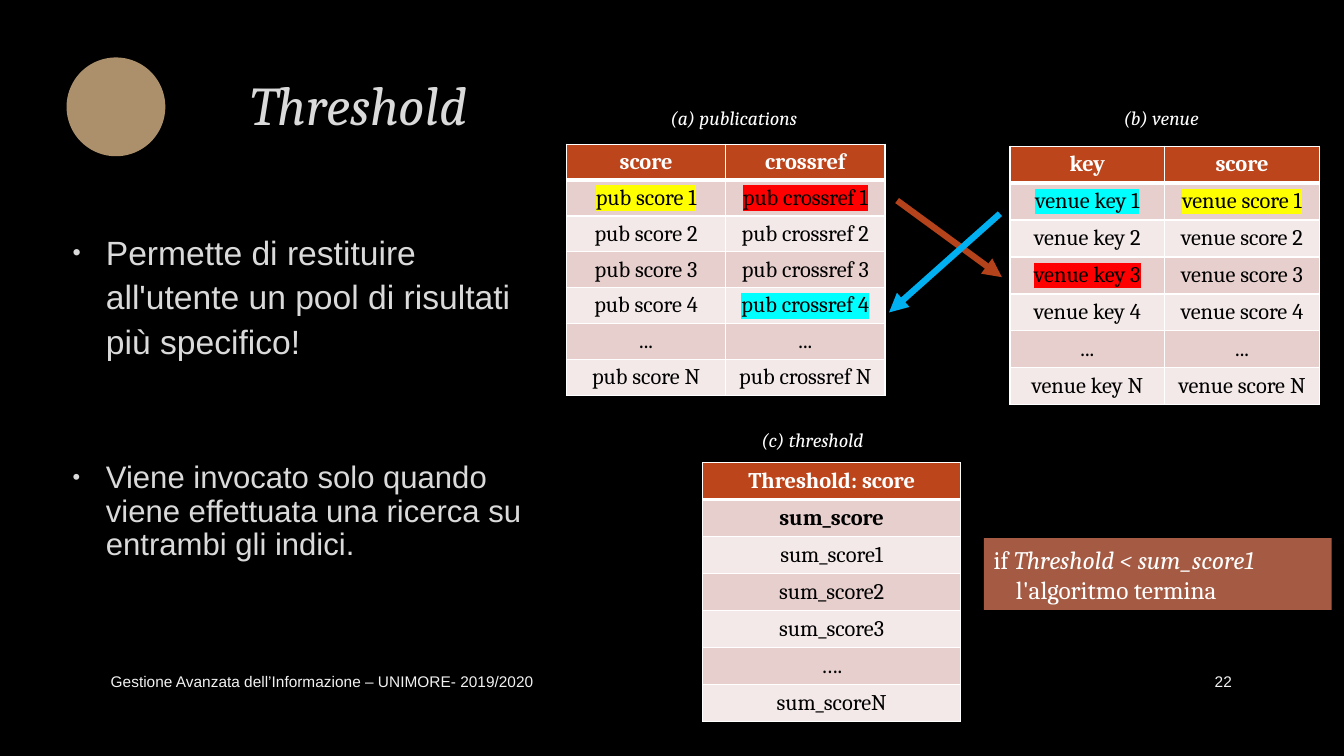
from typing import NamedTuple, Optional

from lxml.etree import SubElement
from pptx import Presentation
from pptx.dml.color import RGBColor as Rgb
from pptx.enum.shapes import MSO_CONNECTOR as Connector, MSO_SHAPE as Preset
from pptx.enum.text import MSO_ANCHOR as Anchor, MSO_AUTO_SIZE as AutoSize, PP_ALIGN as Align
from pptx.oxml.ns import qn
from pptx.util import Inches, Pt

COLORS = {
    "black": "000000", "white": "FFFFFF", "title": "DADADA", "footer": "F2F2F2",
    "outline": "404040", "circle": "AC906C", "note": "A55A43",
    "header": "BC451B", "odd": "E7CFCD", "even": "F3E9E8",
    "yellow": "FFFF00", "red": "FF0000", "cyan": "00FFFF",
    "rust": "B4421A", "blue": "00B0F0",
}
SERIF, SANS = "Cambria", "Arial"
WIDTH, HEIGHT = Inches(13.33), Inches(7.5)


class Box(NamedTuple):
    """Place and size in percent of the slide's width and height."""
    left: float
    top: float
    width: float
    height: float


class Label(NamedTuple):
    text: str
    box: Box
    style: dict


class Ranking(NamedTuple):
    left: float
    top: float
    width: float
    row_height: float
    rows: list
    marks: dict
    bold_rows: tuple = (0,)


class Arrow(NamedTuple):
    start: tuple
    end: tuple
    color: str


class Bullet(NamedTuple):
    text: str
    box: Box
    size: float
    spacing: float


CAPTION = {"size": 14, "italic": True, "align": Align.CENTER}
FOOTER = {"size": 11, "color": "footer", "font": SANS}
LABELS = [
    Label("Gestione Avanzata dell’Informazione – UNIMORE- 2019/2020",
          Box(7.5, 87.47, 54.75, 5.33), FOOTER),
    Label("22", Box(86.25, 87.47, 6.15, 5.33), FOOTER | {"align": Align.RIGHT}),
    Label("(a) publications", Box(45.08, 13.33, 19.05, 4.53), CAPTION),
    Label("(b) venue", Box(76.88, 13.33, 19.05, 4.53), CAPTION),
    Label("(c) threshold", Box(50.93, 55.87, 19.05, 4.53), CAPTION),
]


def numbered(*prefixes: str) -> list:
    """Rows 1 to 4, an ellipsis and row N for each prefix."""
    return [["..." if n == "..." else f"{prefix} {n}" for prefix in prefixes]
            for n in (1, 2, 3, 4, "...", "N")]


RANKINGS = [
    Ranking(42.15, 19.07, 23.7, 4.75,
            [["score", "crossref"]] + numbered("pub score", "pub crossref"),
            {(1, 0): "yellow", (1, 1): "red", (4, 1): "cyan"}),
    Ranking(75.15, 19.33, 23.03, 4.89,
            [["key", "score"]] + numbered("venue key", "venue score"),
            {(1, 0): "cyan", (1, 1): "yellow", (3, 0): "red"}),
    Ranking(52.28, 61.2, 19.2, 4.89,
            [["Threshold: score"], ["sum_score"], ["sum_score1"], ["sum_score2"],
             ["sum_score3"], ["…."], ["sum_scoreN"]], {}, (0, 1)),
]
ARROWS = [
    Arrow((66.75, 26.53), (74.55, 36.67), "rust"),
    Arrow((74.4, 28.27), (66.15, 41.33), "blue"),
]
BULLETS = [
    Bullet("Permette di restituire all'utente un pool di risultati più specifico!",
           Box(4.28, 29.47, 36.53, 15.47), 24, 1.1),
    Bullet("Viene invocato solo quando viene effettuata una ricerca su entrambi gli indici.",
           Box(4.28, 60.4, 36.53, 15.47), 22.2, 0.9),
]


def across(share: float) -> int:
    return round(WIDTH * share / 100)


def down(share: float) -> int:
    return round(HEIGHT * share / 100)


def area(box: Box) -> tuple:
    return across(box.left), down(box.top), across(box.width), down(box.height)


def rgb(name: str) -> Rgb:
    return Rgb.from_string(COLORS[name])


def add_color(parent, name: str):
    return SubElement(parent, qn("a:srgbClr"), val=COLORS[name])


def write(paragraph, text: str, *, size: float, color: str = "white", font: str = SERIF,
          bold: bool = False, italic: bool = False, align: Align = Align.LEFT,
          highlight: Optional[str] = None, outlined: bool = False) -> None:
    paragraph.alignment = align
    run = paragraph.add_run()
    run.text = text
    face = run.font
    face.size, face.name, face.bold, face.italic = Pt(size), font, bold, italic
    face.color.rgb = rgb(color)
    props = run._r.get_or_add_rPr()
    if highlight:
        mark = SubElement(props, qn("a:highlight"))
        add_color(mark, highlight)
        props.find(qn("a:solidFill")).addnext(mark)
    if outlined:
        line = SubElement(props, qn("a:ln"), w=str(Pt(0.75)))
        tint = add_color(SubElement(line, qn("a:solidFill")), "outline")
        SubElement(tint, qn("a:alpha"), val="10000")
        props.insert(0, line)


def place(holder, box: Box, anchor: Anchor):
    """Move a text holder, set up its frame and return the first paragraph."""
    holder.left, holder.top, holder.width, holder.height = area(box)
    frame = holder.text_frame
    frame.word_wrap, frame.auto_size = True, AutoSize.NONE
    frame.vertical_anchor = anchor
    return frame.paragraphs[0]


def add_shape(slide, preset: Preset, box: Box, color: str):
    shape = slide.shapes.add_shape(preset, *area(box))
    shape.shadow.inherit = False
    shape.fill.solid()
    shape.fill.fore_color.rgb = rgb(color)
    shape.line.fill.background()
    return shape


def border(cell, bottom: int) -> None:
    props = cell._tc.get_or_add_tcPr()
    for index, (side, width) in enumerate(zip("LRTB", (1, 1, 1, bottom))):
        line = SubElement(props, qn(f"a:ln{side}"), w=str(Pt(width)))
        add_color(SubElement(line, qn("a:solidFill")), "white")
        props.insert(index, line)


def add_ranking(slide, ranking: Ranking) -> None:
    rows = ranking.rows
    box = Box(ranking.left, ranking.top, ranking.width, ranking.row_height * len(rows))
    table = slide.shapes.add_table(len(rows), len(rows[0]), *area(box)).table
    for r, row in enumerate(rows):
        table.rows[r].height = down(ranking.row_height)
        for c, text in enumerate(row):
            cell = table.cell(r, c)
            cell.margin_top = cell.margin_bottom = Inches(0.04)
            cell.vertical_anchor = Anchor.MIDDLE
            cell.fill.solid()
            cell.fill.fore_color.rgb = rgb("header" if r == 0 else "odd" if r % 2 else "even")
            border(cell, 1 if r else 3)
            write(cell.text_frame.paragraphs[0], text, size=16, align=Align.CENTER,
                  color="black" if r else "white", bold=r in ranking.bold_rows,
                  highlight=ranking.marks.get((r, c)))


def add_arrow(slide, arrow: Arrow) -> None:
    (x1, y1), (x2, y2) = arrow.start, arrow.end
    link = slide.shapes.add_connector(Connector.STRAIGHT, across(x1), down(y1), across(x2), down(y2))
    link.line.width = Pt(4.5)
    link.line.color.rgb = rgb(arrow.color)
    SubElement(link.line._get_or_add_ln(), qn("a:tailEnd"), type="triangle")
    SubElement(link._element.spPr, qn("a:effectLst"))


def fill_bullet(holder, bullet: Bullet) -> None:
    paragraph = place(holder, bullet.box, Anchor.TOP)
    write(paragraph, bullet.text, size=bullet.size, color="title", font=SANS, outlined=True)
    paragraph.line_spacing = bullet.spacing
    paragraph.space_before, paragraph.space_after = Pt(bullet.size * 0.2), Pt(6)
    props = paragraph._p.get_or_add_pPr()
    props.set("marL", str(Inches(0.38)))
    props.set("indent", str(Inches(-0.33)))
    add_color(SubElement(props, qn("a:buClr")), "title")
    SubElement(props, qn("a:buSzPct"), val="70000")
    SubElement(props, qn("a:buFont"), typeface=SANS)
    SubElement(props, qn("a:buChar"), char="•")


def main() -> None:
    deck = Presentation()
    deck.slide_width, deck.slide_height = WIDTH, HEIGHT
    slide = deck.slides.add_slide(deck.slide_layouts.get_by_name("Two Content"))
    slide.background.fill.solid()
    slide.background.fill.fore_color.rgb = rgb("black")

    heading = place(slide.shapes.title, Box(-15.75, 5.07, 84.9, 18.4), Anchor.MIDDLE)
    heading.line_spacing = 0.9
    write(heading, "Threshold", size=39, color="title", italic=True, align=Align.CENTER, outlined=True)
    for index, bullet in enumerate(BULLETS, start=1):
        fill_bullet(slide.placeholders[index], bullet)

    add_shape(slide, Preset.OVAL, Box(4.95, 7.6, 7.35, 13.07), "circle")
    for label in LABELS:
        holder = slide.shapes.add_textbox(*area(label.box))
        write(place(holder, label.box, Anchor.MIDDLE), label.text, **label.style)
    for ranking in RANKINGS:
        add_ranking(slide, ranking)
    for arrow in ARROWS:
        add_arrow(slide, arrow)

    stop_box = Box(73.2, 71.2, 25.88, 9.47)
    stop_rule = add_shape(slide, Preset.RECTANGLE, stop_box, "note")
    condition = place(stop_rule, stop_box, Anchor.MIDDLE)
    write(condition, "if ", size=18)
    write(condition, "Threshold < sum_score1", size=18, italic=True)
    outcome = stop_rule.text_frame.add_paragraph()
    write(outcome, "l'algoritmo termina", size=18)
    outcome._p.get_or_add_pPr().set("marL", str(Inches(0.22)))

    deck.save("out.pptx")


if __name__ == "__main__":
    main()
